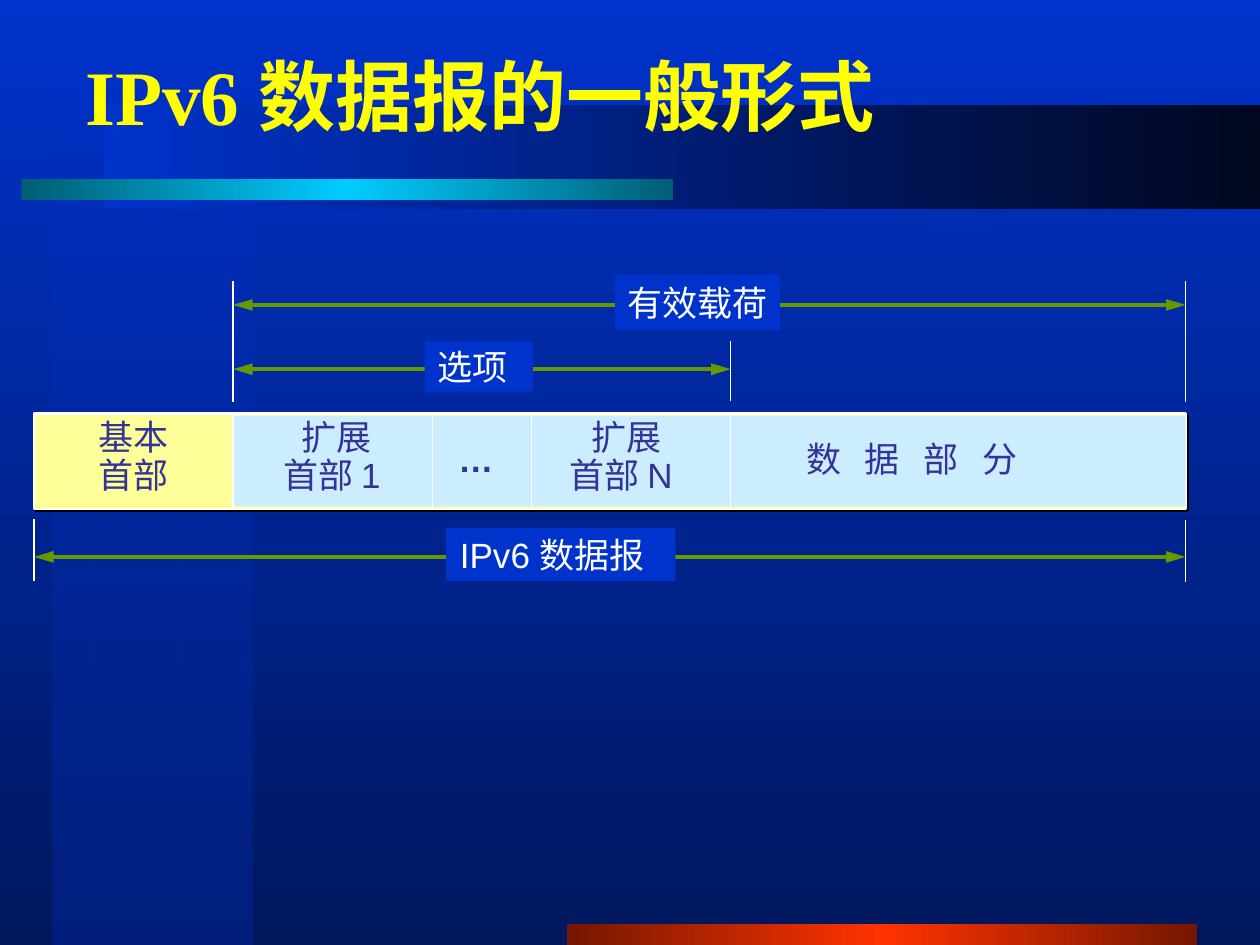
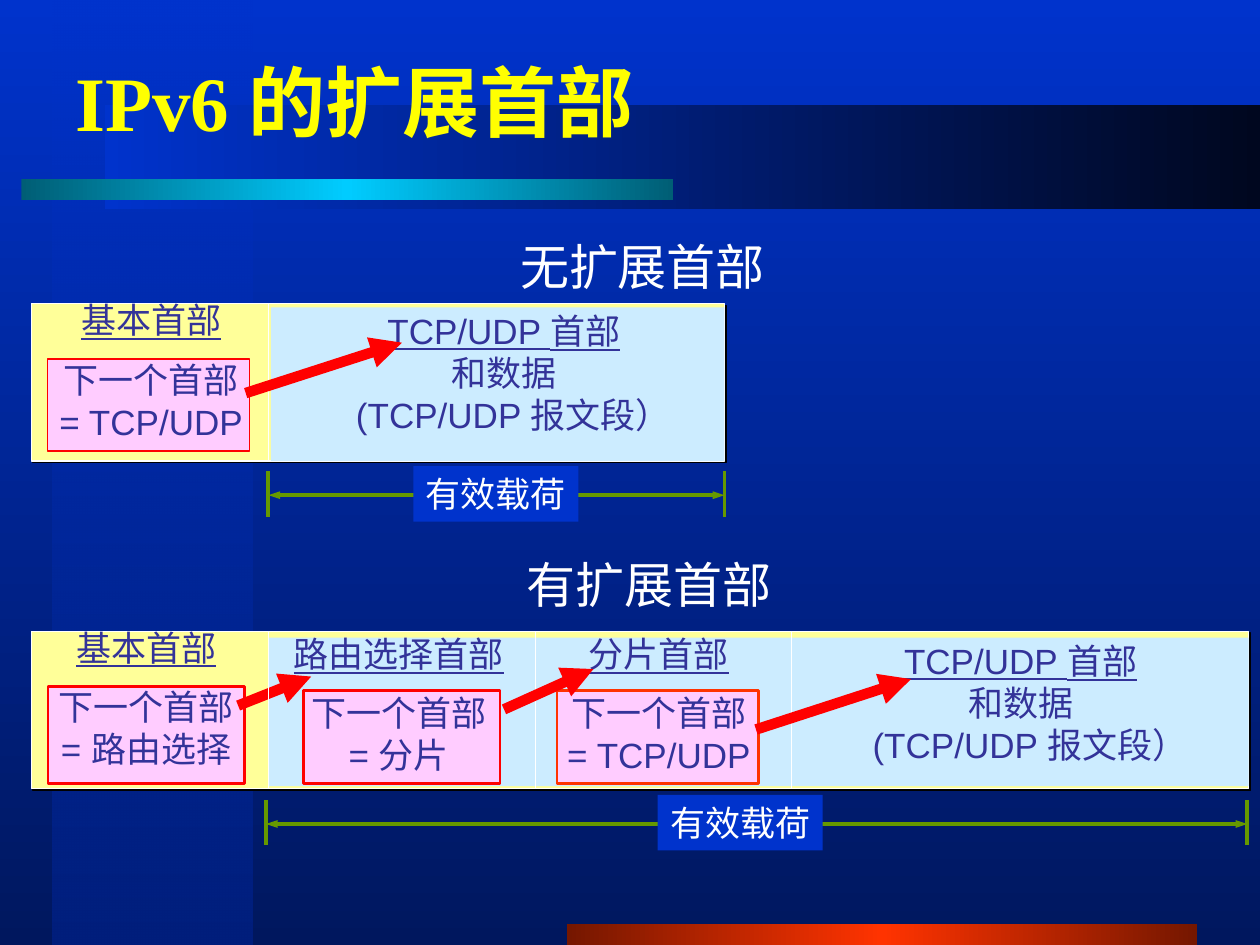
from lxml.etree import SubElement
from pptx import Presentation
from pptx.dml.color import RGBColor
from pptx.enum.shapes import MSO_CONNECTOR, MSO_SHAPE
from pptx.enum.text import MSO_ANCHOR, MSO_AUTO_SIZE, PP_ALIGN
from pptx.oxml.ns import qn
from pptx.util import Inches, Pt

# The slide is a grid of 10 columns by 7.5 rows, one inch each.
COLUMNS, ROWS = 10, 7.5
BLUE, NAVY, WHITE, BLACK = "0033CC", "00175E", "FFFFFF", "000000"
YELLOW, CREAM, SKY, PINK = "FFFF01", "FFFF99", "CCECFF", "FFCCFF"
INK, GREEN, RED, ORANGE = "333399", "669900", "FF0000", "FF3300"

BANDS = [  # place, angle, stops
    ((0.42, 0, 1.58, ROWS), 90, [(0, BLUE, 50), (100, "001F7D", 100)]),
    ((4.5, 7.33, 5, 0.17), 180,
     [(0, "751700", 100), (50, ORANGE, 100), (100, "751700", 100)]),
    ((0.83, 0.83, 9.17, 0.83), 180, [(0, "00071F", 100), (100, BLUE, 100)]),
    ((0.17, 1.42, 5.17, 0.17), 180,
     [(0, "005E75", 100), (50, "00CCFF", 100), (100, "005E75", 100)]),
]
TITLE = {"name": "Times New Roman", "size": Pt(44), "bold": True}
BODY = {"name": "Arial", "size": Pt(20)}
CAPTION = {"name": "Lato", "size": Pt(28)}
LONG_HEAD = {"w": "med", "len": "lg"}
SLIM_HEAD = {"w": "sm", "len": "med"}
RED_HEAD = {"w": "med", "len": "med"}
SEGMENT = ["TCP/UDP 首部", "和数据", "(TCP/UDP 报文段）"]


def color(value):
    return RGBColor.from_string(value)


def grid(place):
    return [Inches(value) for value in place]


def paint_gradient(fill, owner, angle, stops):
    """Fill with (position, colour, opacity) stops, all in percent."""
    fill.gradient()
    gradient = owner.find(".//" + qn("a:gradFill"))
    for child in list(gradient):
        gradient.remove(child)
    stop_list = SubElement(gradient, qn("a:gsLst"))
    for position, value, opacity in stops:
        stop = SubElement(stop_list, qn("a:gs"), pos=str(position * 1000))
        tone = SubElement(stop, qn("a:srgbClr"), val=value)
        if opacity < 100:
            SubElement(tone, qn("a:alpha"), val=str(opacity * 1000))
    SubElement(gradient, qn("a:lin"), ang=str(angle * 60000), scaled="0")


def add_rectangle(page, place, fill=None, line=None, width=0.75):
    box = page.shapes.add_shape(MSO_SHAPE.RECTANGLE, *grid(place))
    box.shadow.inherit = False
    if fill:
        box.fill.solid()
        box.fill.fore_color.rgb = color(fill)
    if line:
        box.line.color.rgb = color(line)
        box.line.width = Pt(width)
    else:
        box.line.fill.background()
    return box


def add_strip(page, place, width):
    """Draw the cream datagram bar with its hard black shadow."""
    strip = add_rectangle(page, place, CREAM, WHITE, width)
    effects = strip.element.spPr.find(qn("a:effectLst"))
    shadow = SubElement(effects, qn("a:outerShdw"), dist=str(Pt(1.4)),
                        dir=str(45 * 60000), algn="ctr", rotWithShape="0")
    SubElement(shadow, qn("a:srgbClr"), val=BLACK)


def add_line(page, start, end, value=WHITE, width=0.75, head=None, both=False):
    line = page.shapes.add_connector(MSO_CONNECTOR.STRAIGHT, *grid(start + end))
    line.line.color.rgb = color(value)
    line.line.width = Pt(width)
    properties = line.element.spPr
    if head:
        outline = properties.find(qn("a:ln"))
        for tag in ("a:headEnd", "a:tailEnd")[0 if both else 1:]:
            SubElement(outline, qn(tag), type="triangle", **head)
    SubElement(properties, qn("a:effectLst"))


def add_divider(page, x, top, bottom, value=WHITE, width=0.75):
    add_line(page, (x, top), (x, bottom), value, width)


def write(frame, lines, style, value, align=PP_ALIGN.LEFT, spacing=None):
    """Fill the frame and return its paragraphs for finer settings."""
    frame.word_wrap = False
    for number, text in enumerate(lines):
        para = frame.paragraphs[0] if number == 0 else frame.add_paragraph()
        para.alignment = align
        if spacing:
            para.line_spacing = spacing
        span = para.add_run()
        span.text = text
        for name, setting in style.items():
            setattr(span.font, name, setting)
        span.font.color.rgb = color(value)
    return frame.paragraphs


def add_text(page, place, lines, style=BODY, value=INK, **layout):
    box = page.shapes.add_textbox(*grid(place))
    paragraphs = write(box.text_frame, lines, style, value, **layout)
    box.text_frame.auto_size = MSO_AUTO_SIZE.SHAPE_TO_FIT_TEXT
    return paragraphs


def indent(para, inches):
    para._p.get_or_add_pPr().set("marL", str(Inches(inches)))


def add_label(page, place, text, right_inset=0.1):
    box = add_rectangle(page, place, BLUE)
    box.text_frame.margin_right = Inches(right_inset)
    box.text_frame.vertical_anchor = MSO_ANCHOR.MIDDLE
    write(box.text_frame, [text], BODY, WHITE, PP_ALIGN.CENTER)


def add_span(page, left, right, y, head):
    add_line(page, (left, y), (right, y), GREEN, 2.25, head, both=True)


def add_header(page, frame, text_place, name, following, line=RED, width=1.5):
    """Write a header's name above the framed field naming the next one."""
    add_rectangle(page, frame, PINK, line, width)
    paragraphs = add_text(page, text_place, [name, "下一个首部", "= " + following],
                          align=PP_ALIGN.CENTER)
    paragraphs[0].runs[0].font.underline = True
    paragraphs[1].space_before = Pt(10)


def add_segment(page, left, top):
    paragraphs = add_text(page, (left, top, 2.92, 1.1), SEGMENT,
                          align=PP_ALIGN.CENTER)
    paragraphs[0].runs[0].font.underline = True
    indent(paragraphs[2], 0.15)


def add_page(deck, title, place):
    page = deck.slides.add_slide(deck.slide_layouts[6])
    paint_gradient(page.background.fill, page.element, 90,
                   [(0, BLUE, 100), (100, NAVY, 100)])
    for band_place, angle, stops in BANDS:
        band = add_rectangle(page, band_place)
        paint_gradient(band.fill, band.element, angle, stops)
    box = page.shapes.add_textbox(*grid(place))
    box.text_frame.vertical_anchor = MSO_ANCHOR.MIDDLE
    write(box.text_frame, [title], TITLE, YELLOW)
    box.text_frame.word_wrap = True
    return page


def build_datagram(deck):
    page = add_page(deck, "IPv6 数据报的一般形式", (0.58, 0.25, 7.58, 1))
    left, base_end, options_end, right = 0.27, 1.85, 5.8, 9.41
    top, bottom = 3.28, 4.04
    add_strip(page, (left, top, right - left, bottom - top), 1.5)
    add_rectangle(page, (base_end, 3.3, right - base_end, 0.72), SKY)
    for x in (base_end, 3.43, 4.22, options_end):
        add_divider(page, x, top, bottom)

    for x, width, lines, shift in ((left, base_end - left, ["基本", "首部"], 0),
                                   (2.08, 1.11, ["扩展", "首部 1"], 0.08),
                                   (4.35, 1.16, ["扩展", "首部 N"], 0.08)):
        paragraphs = add_text(page, (x, 3.29, width, 0.7), lines,
                              align=PP_ALIGN.CENTER, spacing=0.9)
        if shift:
            indent(paragraphs[0], shift)
    add_text(page, (3.54, 3.42, 0.47, 0.44), ["…"], {**BODY, "bold": True})
    data = add_text(page, (6.3, 3.42, 2.06, 0.44), ["数据部分"])
    data[0].runs[0]._r.get_or_add_rPr().set("spc", "1350")

    for x, start, end in ((base_end, 2.23, 3.19), (options_end, 2.71, 3.18),
                          (right, 2.23, 3.19), (left, 4.12, 4.61),
                          (right, 4.13, 4.62)):
        add_divider(page, x, start, end)
    for start, end, y, place, text, inset in (
            (base_end, options_end, 2.93, (3.37, 2.71, 0.86, 0.4), "选项", 0.2),
            (left, right, 4.42, (3.54, 4.19, 1.82, 0.42), "IPv6 数据报", 0.23),
            (base_end, right, 2.42, (4.88, 2.18, 1.31, 0.44), "有效载荷", 0.1)):
        add_span(page, start, end, y, LONG_HEAD)
        add_label(page, place, text, inset)


def add_payload(page, left, right, y, label_left):
    add_span(page, left, right, y, SLIM_HEAD)
    add_label(page, (label_left, y - 0.23, 1.31, 0.44), "有效载荷")
    for x in (left, right):
        add_divider(page, x, y - 0.19, y + 0.17, GREEN, 2.25)


def add_red_arrow(page, start, end):
    add_line(page, start, end, RED, 6, RED_HEAD)


def build_extension(deck):
    page = add_page(deck, "IPv6 的扩展首部", (0.5, 0.33, 7.58, 0.94))
    left, base_end = 0.25, 2.13

    add_strip(page, (left, 2.41, 5.5, 1.25), 0.75)
    add_rectangle(page, (2.15, 2.44, 3.6, 1.22), SKY)
    add_header(page, (0.38, 2.85, 1.6, 0.73), (0.37, 2.32, 1.66, 1.24),
               "基本首部", "TCP/UDP", width=0.75)
    add_divider(page, base_end, 2.41, 3.65)
    add_segment(page, 2.54, 2.41)
    add_red_arrow(page, (1.95, 3.12), (3.19, 2.72))
    add_payload(page, base_end, 5.75, 3.93, 3.28)

    add_strip(page, (left, 5.01, 9.66, 1.25), 0.75)
    add_rectangle(page, (base_end, 5.06, 7.78, 1.18), SKY)
    add_header(page, (0.38, 5.45, 1.56, 0.77), (0.35, 4.92, 1.62, 1.24),
               "基本首部", "路由选择")
    add_header(page, (2.41, 5.48, 1.56, 0.74), (2.23, 4.97, 1.87, 1.24),
               "路由选择首部", "分片")
    add_header(page, (4.42, 5.48, 1.6, 0.74), (4.4, 4.97, 1.66, 1.24),
               "分片首部", "TCP/UDP", ORANGE)
    add_segment(page, 6.64, 5.03)
    add_red_arrow(page, (1.89, 5.6), (2.47, 5.37))
    for x in (base_end, 4.25, 6.28):
        add_divider(page, x, 5.01, 6.26)
    add_red_arrow(page, (4, 5.63), (4.71, 5.31))
    add_red_arrow(page, (6, 5.79), (7.23, 5.39))
    add_payload(page, 2.11, 9.9, 6.54, 5.22)

    for x, y, text in ((4.03, 1.83, "无扩展首部"), (4.08, 4.35, "有扩展首部")):
        add_text(page, (x, y, 2.14, 0.57), [text], CAPTION, WHITE)


def main():
    deck = Presentation()
    deck.slide_width, deck.slide_height = grid((COLUMNS, ROWS))
    build_datagram(deck)
    build_extension(deck)
    deck.save("out.pptx")


if __name__ == "__main__":
    main()
